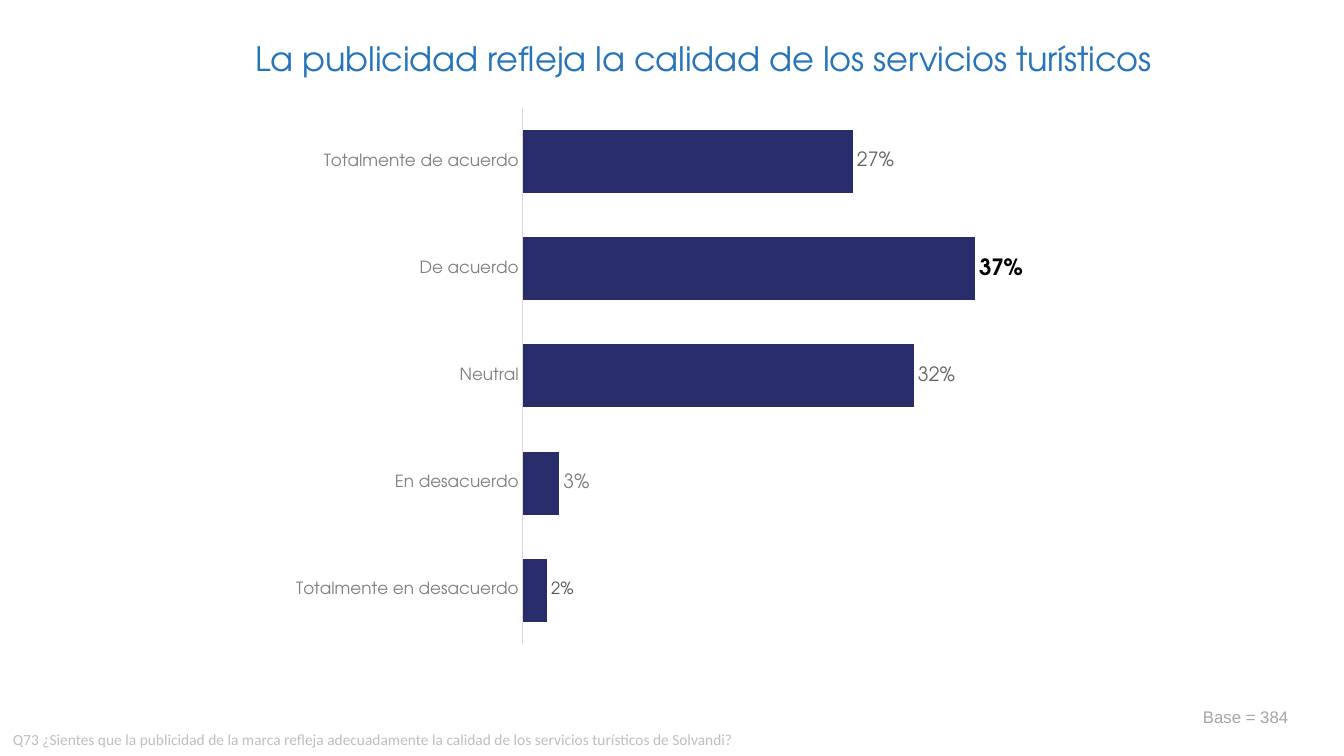
from lxml import etree
from pptx import Presentation
from pptx import util as u
from pptx.chart.data import CategoryChartData
from pptx.dml.color import RGBColor
from pptx.enum import chart as charts, text

PX = 914400 / 100.8
HEADING_FONT = "TeX Gyre Adventor"
COLORS = {
    "title": "2674BB", "bar": "282C6A", "axis": "D9D9D9", "category": "808080",
    "label": "666666", "peak": "000000", "low": "808080", "lowest": "595959",
    "question": "BFBFBF", "base": "A6A6A6",
}
# Category, share, label size, label colour, bold; listed from bottom to top
ANSWERS = [
    ("Totalmente en desacuerdo", 0.02, 12, "lowest", False),
    ("En desacuerdo", 0.03, 14, "low", False),
    ("Neutral", 0.32, 14, "label", False),
    ("De acuerdo", 0.37, 16, "peak", True),
    ("Totalmente de acuerdo", 0.27, 14, "label", False),
]
PLOT_AREA = {"x": 0.345, "y": 0.036, "w": 0.623, "h": 0.916}


def px(length):
    return u.Emu(round(length * PX))


def rgb(name):
    return RGBColor.from_string(COLORS[name])


def set_values(target, values):
    for name, value in values.items():
        setattr(target, name, value)


def set_font(font, size, color, name, bold=False):
    set_values(font, {"size": u.Pt(size), "name": name, "bold": bold})
    font.color.rgb = rgb(color)


def add_text(slide, box, words, size, color, font_name, frame_format=None,
             paragraph_format=None, spacing=None):
    frame = slide.shapes.add_textbox(*map(px, box)).text_frame
    set_values(frame, {"word_wrap": True, **(frame_format or {})})
    paragraph = frame.paragraphs[0]
    set_values(paragraph, paragraph_format or {})
    run = paragraph.add_run()
    run.text = words
    set_font(run.font, size, color, font_name)
    if spacing is not None:
        run.font._element.set("spc", str(spacing))


def add_title(slide, box):
    margins = {f"margin_{side}": 0 for side in ("left", "right", "bottom")}
    add_text(slide, box, "La publicidad refleja la calidad de los servicios turísticos",
             24, "title", HEADING_FONT, {**margins, "margin_top": px(2)},
             {"alignment": text.PP_ALIGN.CENTER}, -10)


def place_plot(chart):
    plot_area = chart._chartSpace.chart.plotArea
    namespace = etree.QName(plot_area).namespace
    for old_layout in plot_area.findall(f"{{{namespace}}}layout"):
        plot_area.remove(old_layout)
    settings = {"layoutTarget": "inner", "xMode": "edge", "yMode": "edge", **PLOT_AREA}
    layout = etree.Element(f"{{{namespace}}}layout")
    manual = etree.SubElement(layout, f"{{{namespace}}}manualLayout")
    for tag, value in settings.items():
        etree.SubElement(manual, f"{{{namespace}}}{tag}").set("val", str(value))
    plot_area.insert(0, layout)


def add_answer_chart(slide, box):
    data = CategoryChartData(number_format="0%")
    data.categories = [answer[0] for answer in ANSWERS]
    data.add_series("Series 1", [answer[1] for answer in ANSWERS])
    chart = slide.shapes.add_chart(
        charts.XL_CHART_TYPE.BAR_CLUSTERED, *map(px, box), data).chart
    set_values(chart, {"has_legend": False, "has_title": False})
    set_font(chart.font, 10, "peak", "Calibri")
    place_plot(chart)

    # Axes
    no_ticks = {"major_tick_mark": charts.XL_TICK_MARK.NONE,
                "minor_tick_mark": charts.XL_TICK_MARK.NONE,
                "has_major_gridlines": False}
    set_values(chart.category_axis, no_ticks)
    set_font(chart.category_axis.tick_labels.font, 12, "category", HEADING_FONT)
    axis_line = chart.category_axis.format.line
    axis_line.width = u.Pt(0.75)
    axis_line.color.rgb = rgb("axis")
    set_values(chart.value_axis, {**no_ticks, "minimum_scale": 0, "maximum_scale": 0.4,
                                  "visible": False})

    # Bars
    plot = chart.plots[0]
    set_values(plot, {"gap_width": 70, "vary_by_categories": False})
    series = plot.series[0]
    series.format.fill.solid()
    series.format.fill.fore_color.rgb = rgb("bar")

    # Value labels
    outside = charts.XL_LABEL_POSITION.OUTSIDE_END
    labels = series.data_labels
    set_values(labels, {"show_value": True, "number_format": "0%",
                        "number_format_is_linked": False, "position": outside})
    set_font(labels.font, 14, "label", HEADING_FONT)
    for index, (_, _, size, color, bold) in enumerate(ANSWERS):
        label = series.points[index].data_label
        set_font(label.font, size, color, HEADING_FONT, bold)
        label.position = outside


def add_footer(slide, box):
    left, top, width, height = box
    add_text(slide, (left, top + 23, 1165, 29),
             "Q73 ¿Sientes que la publicidad de la marca refleja adecuadamente "
             "la calidad de los servicios turísticos de Solvandi?",
             11, "question", "Calibri")
    add_text(slide, (left + width - 107, top, 107, 30), "Base = 384",
             12, "base", "Arial", {"word_wrap": False})


def main():
    presentation = Presentation()
    set_values(presentation, {"slide_width": px(1344), "slide_height": px(756)})
    slide = presentation.slides.add_slide(presentation.slide_layouts[6])
    add_answer_chart(slide, (252, 87, 785, 585))
    add_footer(slide, (3, 702, 1297, 52))
    add_title(slide, (194, 36, 1019, 42))
    presentation.save("out.pptx")


if __name__ == "__main__":
    main()
